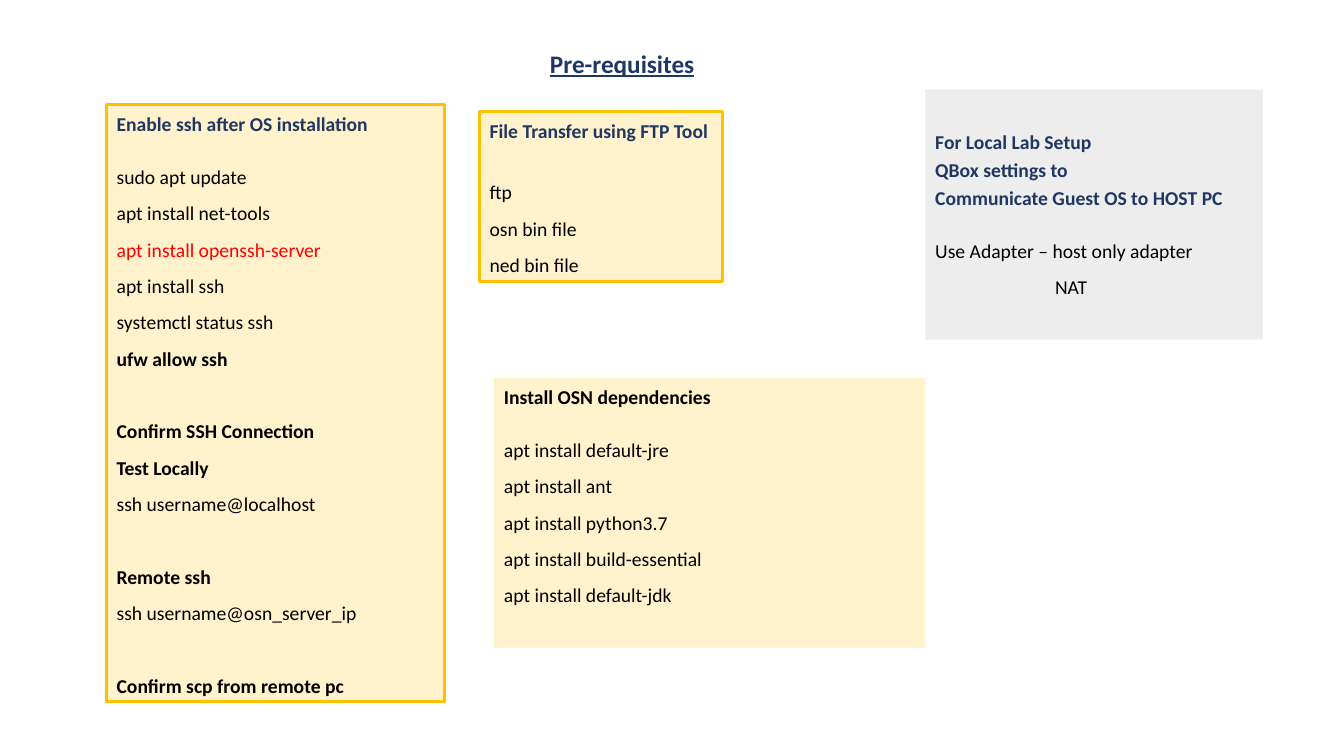
import pptx
import pptx.dml.color
import pptx.enum.shapes
import pptx.enum.text
import pptx.util
from dataclasses import dataclass

Cm = pptx.util.Cm
Pt = pptx.util.Pt

HUES = {"navy": "1F3763", "black": "000000", "red": "FF0000",
        "cream": "FFF2CC", "gold": "FFC000", "grey": "EDEDED"}


@dataclass
class Line:
    text: str
    hue: str = "black"
    bold: bool = False
    above: float = 0
    below: float = 8
    indent: float = 0


@dataclass
class Card:
    left: float
    top: float
    width: float
    height: float
    fill: str
    lines: list[Line]
    edge: str = ""
    inset: float = 0.13


def shade(name: str) -> pptx.dml.color.RGBColor:
    return pptx.dml.color.RGBColor.from_string(HUES[name])


def head(text: str, hue: str = "navy") -> Line:
    return Line(text, hue, True, above=2, below=0)


def style(par, size: float, hue: str, bold: bool) -> None:
    for run in par.runs:
        run.font.name = "Calibri"
        run.font.size = Pt(size)
        run.font.bold = bold
        run.font.color.rgb = shade(hue)


def write(frame, lines: list[Line]) -> None:
    frame.text = "\n".join(line.text for line in lines)
    for par, line in zip(frame.paragraphs, lines):
        par.alignment = pptx.enum.text.PP_ALIGN.LEFT
        par.line_spacing = 1.07
        par.space_before = Pt(line.above)
        par.space_after = Pt(line.below)
        if line.indent:
            par._p.get_or_add_pPr().set("marL", str(Cm(line.indent)))
        style(par, 14, line.hue, line.bold)


def draw(slide, card: Card) -> None:
    box = slide.shapes.add_shape(
        pptx.enum.shapes.MSO_SHAPE.RECTANGLE,
        Cm(card.left), Cm(card.top), Cm(card.width), Cm(card.height))
    box.shadow.inherit = False
    box.fill.solid()
    box.fill.fore_color.rgb = shade(card.fill)
    if card.edge:
        box.line.color.rgb = shade(card.edge)
        box.line.width = Pt(2)
    else:
        box.line.fill.background()
    frame = box.text_frame
    frame.word_wrap = True
    frame.vertical_anchor = pptx.enum.text.MSO_ANCHOR.TOP
    frame.margin_top = Cm(card.inset)
    write(frame, card.lines)


# Space above a line that follows a heading or starts a new group
AFTER = 20
GROUP = 26

CARDS = [
    # Remote shell
    Card(2.69, 2.64, 8.51, 15.04, "cream", [
        head("Enable ssh after OS installation"),
        Line("sudo apt update", above=AFTER),
        Line("apt install net-tools"),
        Line("apt install openssh-server", "red"),
        Line("apt install ssh"),
        Line("systemctl status ssh"),
        Line("ufw allow ssh", bold=True),
        Line("Confirm SSH Connection", bold=True, above=GROUP),
        Line("Test Locally", bold=True),
        Line("ssh username@localhost"),
        Line("Remote ssh", bold=True, above=GROUP),
        Line("ssh username@osn_server_ip"),
        Line("Confirm scp from remote pc", bold=True, above=GROUP),
    ], edge="gold"),
    # Local lab
    Card(23.32, 2.26, 8.51, 6.3, "grey", [
        head("For Local Lab Setup"),
        head("QBox settings to"),
        head("Communicate Guest OS to HOST PC"),
        Line("Use Adapter – host only adapter", above=AFTER),
        Line("NAT", indent=3.02),
    ], inset=0.97),
    # File transfer
    Card(12.09, 2.82, 6.12, 4.27, "cream", [
        head("File Transfer using FTP Tool"),
        Line("ftp", above=GROUP),
        Line("osn bin file"),
        Line("ned bin file"),
    ], edge="gold"),
    # Dependencies
    Card(12.45, 9.52, 10.87, 6.81, "cream", [
        head("Install OSN dependencies", "black"),
        Line("apt install default-jre", above=AFTER),
        Line("apt install ant"),
        Line("apt install python3.7"),
        Line("apt install build-essential"),
        Line("apt install default-jdk"),
    ]),
]

deck = pptx.Presentation()
deck.slide_width = Cm(33.87)
deck.slide_height = Cm(19.05)
slide = deck.slides.add_slide(deck.slide_layouts[6])

for card in CARDS:
    draw(slide, card)

# Title
title = slide.shapes.add_textbox(Cm(13.61), Cm(1.09), Cm(9.12), Cm(1.78))
title.text_frame.word_wrap = True
title.text_frame.text = "Pre-requisites"
par = title.text_frame.paragraphs[0]
style(par, 18, "navy", True)
par.runs[0].font.underline = True

deck.save("out.pptx")
